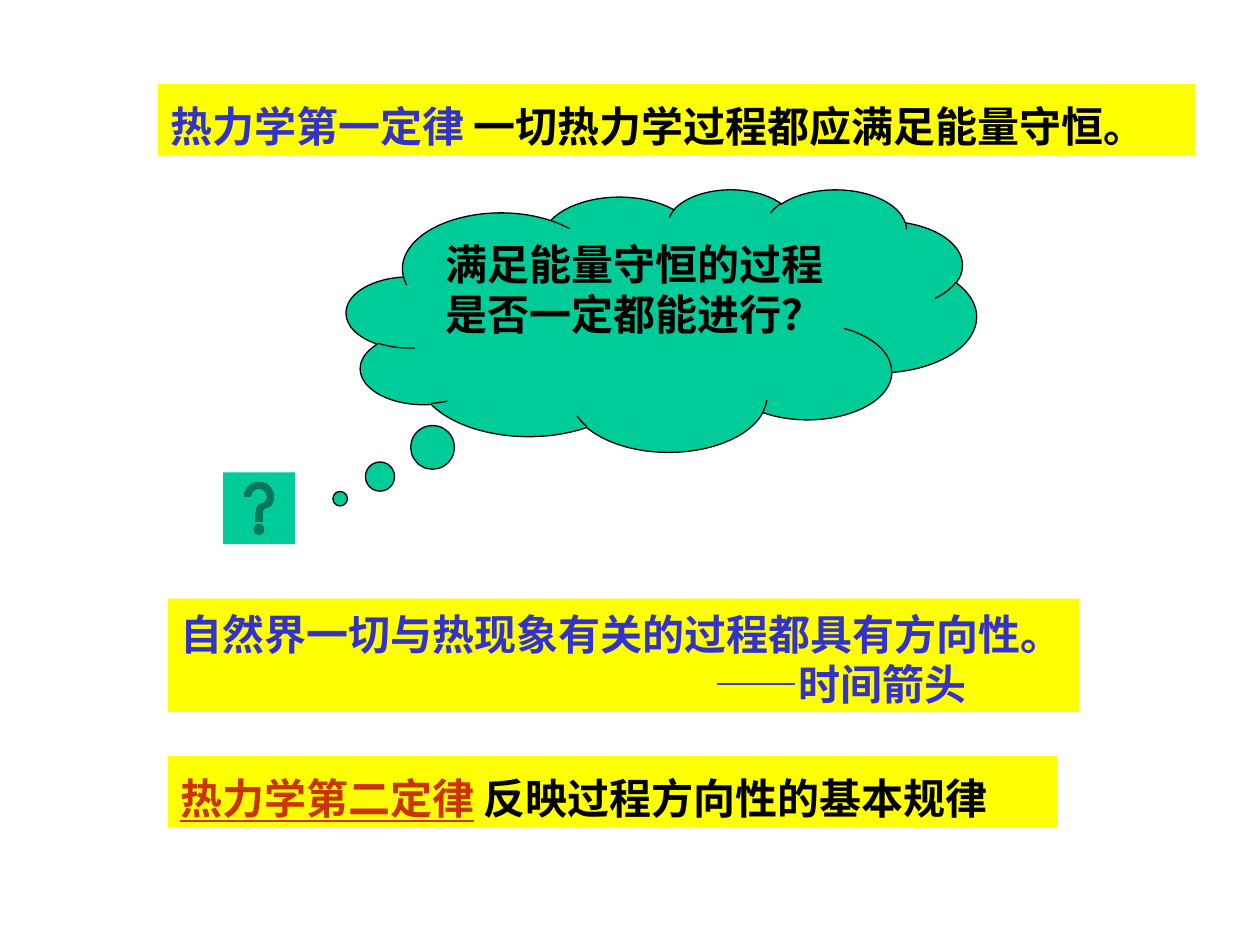
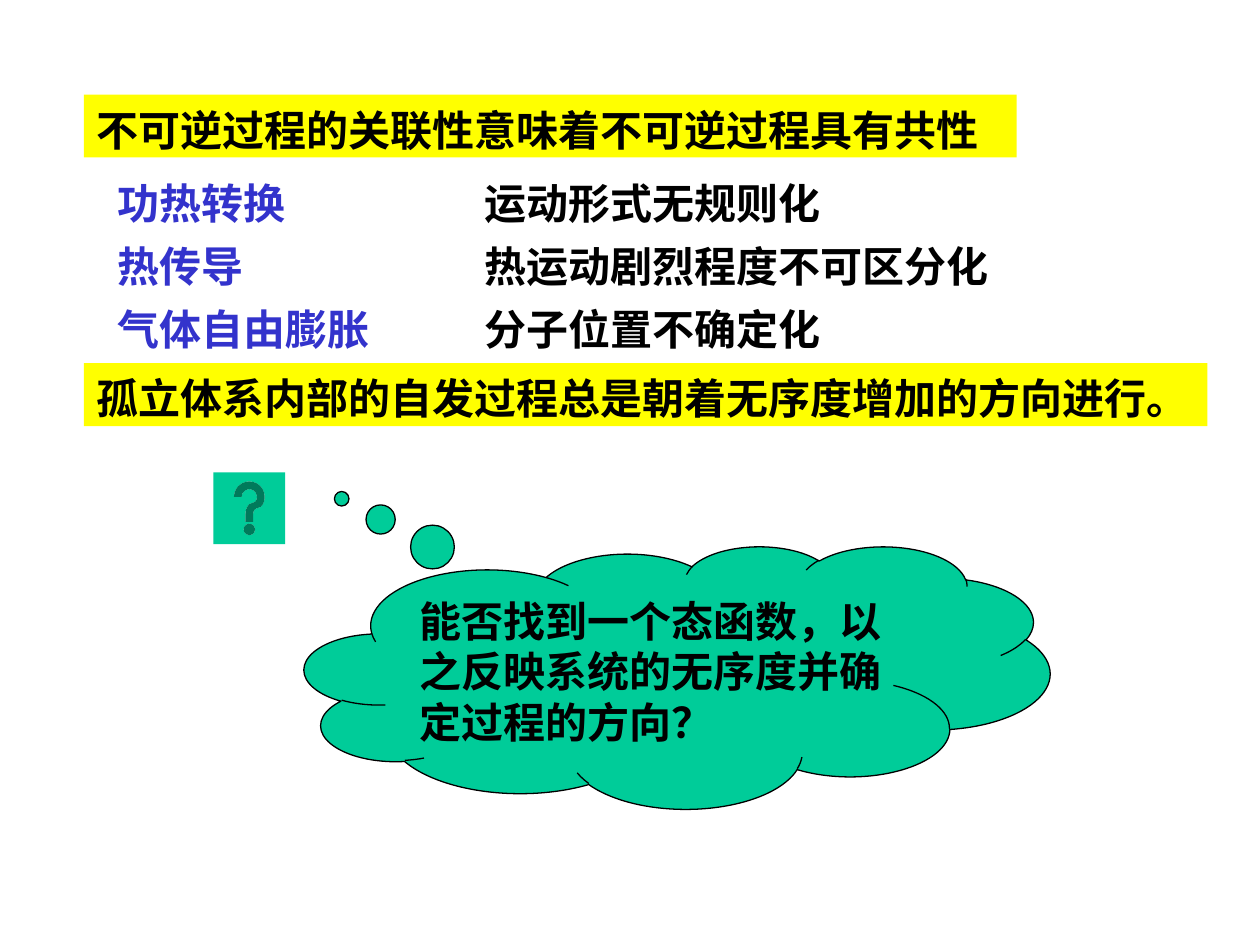
from lxml import etree
from pptx import Presentation
from pptx.dml.color import RGBColor
from pptx.enum import shapes, text
from pptx.oxml.ns import qn
from pptx.util import Pt

COLORS = {"bar": "FFFF00", "cloud": "00CC99", "ink": "000000",
          "blue": "3333CC", "red": "CC3300"}
CJK_FONT = "Noto Sans CJK SC"
LATIN_FONT = "Times New Roman"
FONT_SIZE = 24
LINE_PITCH = 28.8
TITLE_ONLY = 5


def color(name):
    """Return the named colour."""
    return RGBColor.from_string(COLORS[name])


def format_paragraph(paragraph, latin):
    """Give a paragraph the shared font, alignment and line pitch."""
    paragraph.alignment = text.PP_ALIGN.LEFT
    paragraph.line_spacing = Pt(LINE_PITCH)
    paragraph.space_before = Pt(0)
    font = paragraph.font
    font.size, font.bold, font.name = Pt(FONT_SIZE), True, latin
    properties = paragraph._p.pPr.find(qn("a:defRPr"))
    etree.SubElement(properties, qn("a:ea"), typeface=CJK_FONT)


def write(shape, paragraphs, latin=LATIN_FONT, drop=2, right=7.2):
    """Write paragraphs of (wording, colour, underline) runs into a shape."""
    frame = shape.text_frame
    frame.word_wrap = True
    frame.auto_size = text.MSO_AUTO_SIZE.NONE
    frame.vertical_anchor = text.MSO_ANCHOR.TOP
    frame.margin_left, frame.margin_right = Pt(7.2), Pt(right)
    frame.margin_top, frame.margin_bottom = Pt(3.6 + drop), Pt(0)
    for index, runs in enumerate(paragraphs):
        paragraph = frame.add_paragraph() if index else frame.paragraphs[0]
        format_paragraph(paragraph, latin)
        for wording, tone, underline in runs:
            run = paragraph.add_run()
            run.text = wording
            run.font.color.rgb = color(tone)
            if underline:
                run.font.underline = True


def place(shape, box):
    """Move a shape to a box given in points."""
    shape.left, shape.top, shape.width, shape.height = map(Pt, box)


def paint(shape, fill):
    """Fill a shape."""
    shape.fill.solid()
    shape.fill.fore_color.rgb = color(fill)


def add_preset(slide, preset, box, fill):
    """Add a plain filled preset shape without line or shadow."""
    shape = slide.shapes.add_shape(preset, *map(Pt, box))
    shape.shadow.inherit = False
    paint(shape, fill)
    shape.line.fill.background()
    return shape


def add_title_bar(slide, box, runs, **style):
    """Turn the title placeholder into a yellow bar."""
    title = slide.shapes.title
    place(title, box)
    paint(title, "bar")
    write(title, [runs], **style)


def add_bar(slide, box, paragraphs, **style):
    """Add a yellow bar with text."""
    bar = add_preset(slide, shapes.MSO_SHAPE.RECTANGLE, box, "bar")
    write(bar, paragraphs, **style)
    return bar


def add_cloud(slide, box, tail, question):
    """Add a thought cloud whose bubbles lead towards tail."""
    cloud = add_preset(slide, shapes.MSO_SHAPE.CLOUD_CALLOUT, box, "cloud")
    cloud.adjustments[0], cloud.adjustments[1] = tail
    cloud.line.color.rgb = color("ink")
    cloud.line.width = Pt(0.75)
    write(cloud, [[(question, "ink", False)]], latin=CJK_FONT, right=4)


def add_help_button(slide, left, top):
    """Add the square question button."""
    add_preset(slide, shapes.MSO_SHAPE.ACTION_BUTTON_HELP,
               (left, top, 41, 41), "cloud")


def add_process_pairs(slide, box, pairs):
    """List processes at the left and their common trait at the right."""
    left, top, trait_offset, pitch = box
    for row, pair in enumerate(pairs):
        for column, (wording, tone) in enumerate(zip(pair, ("blue", "ink"))):
            label = slide.shapes.add_textbox(
                Pt(left + column * trait_offset), Pt(top + row * pitch),
                Pt(len(wording) * FONT_SIZE + 16), Pt(pitch))
            write(label, [[(wording, tone, False)]])


def build_laws_slide(slide):
    """Build the slide that leads from the first law to the second."""
    law_style = {"latin": CJK_FONT, "drop": 6}
    add_title_bar(slide, (90, 48, 593, 41),
                  [("热力学第一定律 ", "blue", False),
                   ("一切热力学过程都应满足能量守恒。", "ink", False)], **law_style)
    add_cloud(slide, (198, 108, 360, 150), (-0.51, 0.68),
              "满足能量守恒的过程是否一定都能进行？")
    direction = add_bar(slide, (96, 342, 521, 65),
                        [[("自然界一切与热现象有关的过程都具有方向性。", "blue", False)],
                         [("——时间箭头", "blue", False)]])
    arrow_of_time = direction.text_frame.paragraphs[1]
    arrow_of_time._p.pPr.set("marL", str(Pt(305)))
    add_bar(slide, (96, 432, 508, 41),
            [[("热力学第二定律", "red", True),
              (" ", "blue", False),
              ("反映过程方向性的基本规律", "ink", False)]], **law_style)
    add_help_button(slide, 127.5, 270)


def build_irreversibility_slide(slide):
    """Build the slide on what irreversible processes have in common."""
    add_title_bar(slide, (48, 54, 533, 36),
                  [("不可逆过程的关联性意味着不可逆过程具有共性", "ink", False)])
    add_process_pairs(slide, (60, 96, 210, 36),
                      [("功热转换", "运动形式无规则化"),
                       ("热传导", "热运动剧烈程度不可区分化"),
                       ("气体自由膨胀", "分子位置不确定化")])
    add_bar(slide, (48, 207.5, 642, 36),
            [[("孤立体系内部的自发过程总是朝着无序度增加的方向进行。", "ink", False)]])
    add_cloud(slide, (174, 312, 426, 150), (-0.45, -0.68),
              "能否找到一个态函数，以之反映系统的无序度并确定过程的方向？")
    add_help_button(slide, 122, 270)


def main():
    """Build and save the presentation."""
    presentation = Presentation()
    presentation.slide_width, presentation.slide_height = Pt(720), Pt(540)
    layout = presentation.slide_layouts[TITLE_ONLY]
    for build in (build_laws_slide, build_irreversibility_slide):
        build(presentation.slides.add_slide(layout))
    presentation.save("out.pptx")


if __name__ == "__main__":
    main()
